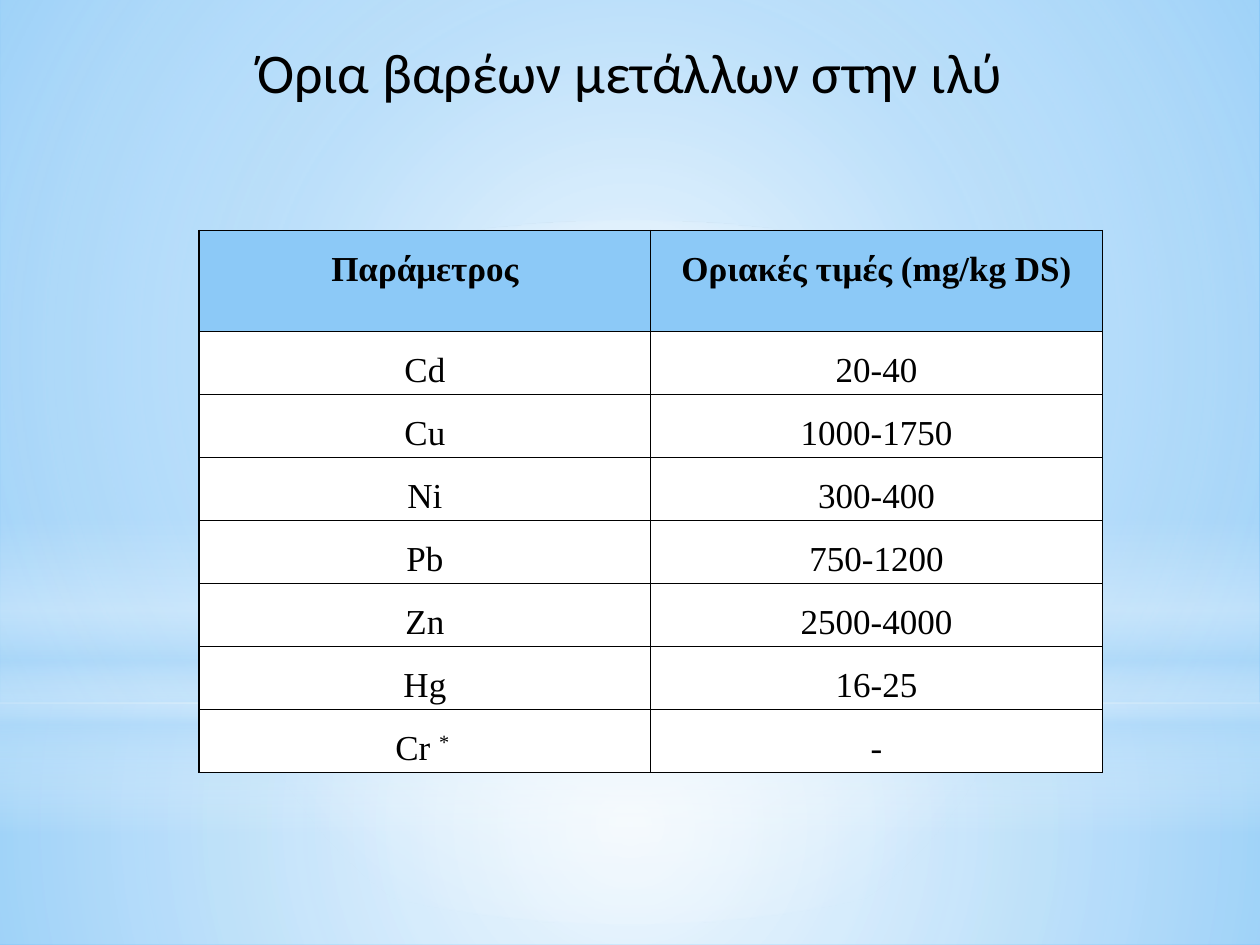
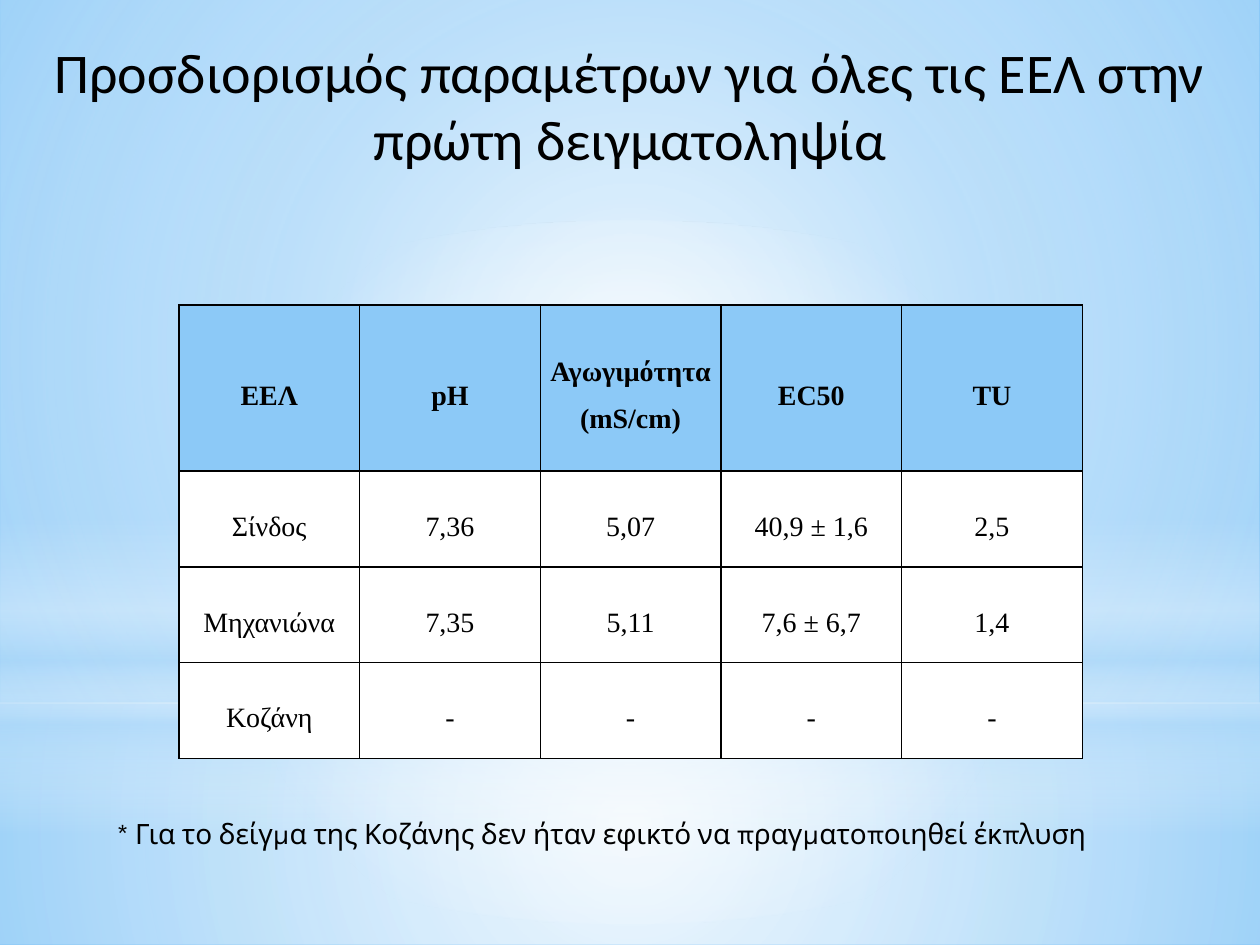
from dataclasses import dataclass

from lxml.etree import SubElement
from pptx import Presentation
from pptx.dml.color import RGBColor
from pptx.enum.shapes import MSO_SHAPE
from pptx.enum.text import MSO_ANCHOR, PP_ALIGN
from pptx.oxml.ns import qn
from pptx.util import Inches, Pt


@dataclass(frozen=True)
class Theme:
    """Colours, fonts and type sizes shared by the slides."""
    background: str = "4FADF3"
    glow: str = "FFFFFF"
    haze: str = "B4DCFA"
    ink: str = "000000"
    header: str = "8CC9F7"
    body: str = "FFFFFF"
    title_font: str = "Calibri"
    table_font: str = "Times New Roman"
    note_font: str = "Karla"
    title_size: int = 32
    limits_size: int = 20
    small_size: int = 16
    border: int = 1


THEME = Theme()
SLIDE_W, SLIDE_H = 10, 7.5
HORIZON = 5.58
BACKDROP = [
    (MSO_SHAPE.RECTANGLE, HORIZON, SLIDE_H - HORIZON, None,
     [(0, THEME.glow, 91), (37, THEME.glow, 76), (100, THEME.haze, 79)]),
    (MSO_SHAPE.RECTANGLE, 0, HORIZON, None,
     [(0, THEME.glow, 89), (48, THEME.glow, 62), (100, THEME.haze, 79)]),
    (MSO_SHAPE.RECTANGLE, 4.12, 2.5, 90,
     [(0, THEME.glow, 0), (29, THEME.glow, 30), (45, THEME.haze, 40),
      (55, THEME.glow, 26), (65, THEME.haze, 60), (100, THEME.glow, 0)]),
    (MSO_SHAPE.OVAL, 1.75, HORIZON, None,
     [(0, THEME.glow, 100), (56, THEME.glow, 0)]),
]
METAL_LIMITS = [
    ("Παράμετρος", "Οριακές τιμές (mg/kg DS)"),
    ("Cd", "20-40"),
    ("Cu", "1000-1750"),
    ("Ni", "300-400"),
    ("Pb", "750-1200"),
    ("Zn", "2500-4000"),
    ("Hg", "16-25"),
    (("Cr ", "* "), "-"),
]
PLANT_RESULTS = [
    ("ΕΕΛ", "pH", "Αγωγιμότητα (mS/cm)", "EC50", "TU"),
    ("Σίνδος", "7,36", "5,07", "40,9 ± 1,6", "2,5"),
    ("Μηχανιώνα", "7,35", "5,11", "7,6 ± 6,7", "1,4"),
    ("Κοζάνη", "-", "-", "-", "-"),
]


def rgb(color):
    """Turn a hex string into a colour."""
    return RGBColor.from_string(color)


def write(tf, text, *, font, size, bold=False, align=PP_ALIGN.LEFT, spacing=None):
    """Write one paragraph; the second item of a pair is superscript."""
    p = tf.paragraphs[0]
    p.alignment = align
    p.line_spacing = spacing
    parts = (text,) if isinstance(text, str) else text
    for i, part in enumerate(parts):
        r = p.add_run()
        r.text = part
        r.font.name, r.font.size, r.font.bold = font, Pt(size), bold
        r.font.color.rgb = rgb(THEME.ink)
        if i:
            r.font._element.set("baseline", "30000")


def set_gradient(sp, stops, angle):
    """Fill a shape with translucent stops, radial when angle is None."""
    sp.fill.background()
    props = sp._element.spPr
    grad = props.makeelement(qn("a:gradFill"), {"rotWithShape": "1"})
    props.replace(props.find(qn("a:noFill")), grad)
    stop_list = SubElement(grad, qn("a:gsLst"))
    for position, color, alpha in stops:
        stop = SubElement(stop_list, qn("a:gs"), pos=str(position * 1000))
        clr = SubElement(stop, qn("a:srgbClr"), val=color)
        SubElement(clr, qn("a:alpha"), val=str(alpha * 1000))
    if angle is None:
        radial = SubElement(grad, qn("a:path"), path="circle")
        SubElement(radial, qn("a:fillToRect"), dict.fromkeys("ltrb", "50000"))
    else:
        SubElement(grad, qn("a:lin"), ang=str(angle * 60000), scaled="0")


def add_backdrop(s):
    """Draw the sky-like background of a slide."""
    s.background.fill.solid()
    s.background.fill.fore_color.rgb = rgb(THEME.background)
    for kind, top, height, angle, stops in BACKDROP:
        sp = s.shapes.add_shape(kind, 0, Inches(top), Inches(SLIDE_W), Inches(height))
        sp.shadow.inherit = False
        set_gradient(sp, stops, angle)
        sp.line.fill.background()


def add_text(s, text, left, top, width, height, **fmt):
    """Add a wrapped text box."""
    tf = s.shapes.add_textbox(Inches(left), Inches(top),
                              Inches(width), Inches(height)).text_frame
    tf.word_wrap = True
    write(tf, text, **fmt)


def add_slide(prs, title, title_height):
    """Add a slide with the backdrop and a centred title."""
    s = prs.slides.add_slide(prs.slide_layouts[6])
    add_backdrop(s)
    add_text(s, title, 0.25, 0.25, 9.5, title_height, font=THEME.title_font,
             size=THEME.title_size, align=PP_ALIGN.CENTER)
    return s


def style_cell(cell, color, anchor):
    """Set the margins, borders, anchor and fill of a cell."""
    cell.margin_left = cell.margin_right = Inches(0.07)
    cell.margin_top = cell.margin_bottom = 0
    cell.vertical_anchor = anchor
    props = cell._tc.get_or_add_tcPr()
    for side in ("lnL", "lnR", "lnT", "lnB"):
        ln = SubElement(props, qn(f"a:{side}"), w=str(Pt(THEME.border)))
        SubElement(SubElement(ln, qn("a:solidFill")), qn("a:srgbClr"), val=THEME.ink)
    cell.fill.solid()
    cell.fill.fore_color.rgb = rgb(color)


def add_grid(s, rows, left, top, head_height, row_height, *, size, anchor):
    """Add a table with equal columns and a bold, tinted header row."""
    width, count = 7.17, len(rows[0])
    height = head_height + row_height * (len(rows) - 1)
    table = s.shapes.add_table(len(rows), count, Inches(left), Inches(top),
                               Inches(width), Inches(height)).table
    table.horz_banding = False
    for column in table.columns:
        column.width = Inches(width / count)
    for i, values in enumerate(rows):
        is_head = i == 0
        table.rows[i].height = Inches(head_height if is_head else row_height)
        for cell, value in zip(table.rows[i].cells, values):
            style_cell(cell, THEME.header if is_head else THEME.body, anchor)
            write(cell.text_frame, value, font=THEME.table_font, size=size,
                  bold=is_head, align=PP_ALIGN.CENTER, spacing=1.5)


def main():
    """Build and save the slides."""
    prs = Presentation()
    prs.slide_width, prs.slide_height = Inches(SLIDE_W), Inches(SLIDE_H)

    s = add_slide(prs, "Όρια βαρέων μετάλλων στην ιλύ", 0.64)
    add_grid(s, METAL_LIMITS, 1.58, 1.83, 0.8, 0.44,
             size=THEME.limits_size, anchor=MSO_ANCHOR.TOP)

    s = add_slide(prs, "Προσδιορισμός παραμέτρων για όλες τις ΕΕΛ στην "
                       "πρώτη δειγματοληψία", 1.18)
    add_grid(s, PLANT_RESULTS, 1.42, 2.42, 1.32, 0.76,
             size=THEME.small_size, anchor=MSO_ANCHOR.MIDDLE)
    add_text(s, "* Για το δείγμα της Κοζάνης δεν ήταν εφικτό να "
                "πραγματοποιηθεί έκπλυση", 0.83, 6.43, 8.79, 0.38,
             font=THEME.note_font, size=THEME.small_size)

    prs.save("out.pptx")


if __name__ == "__main__":
    main()
